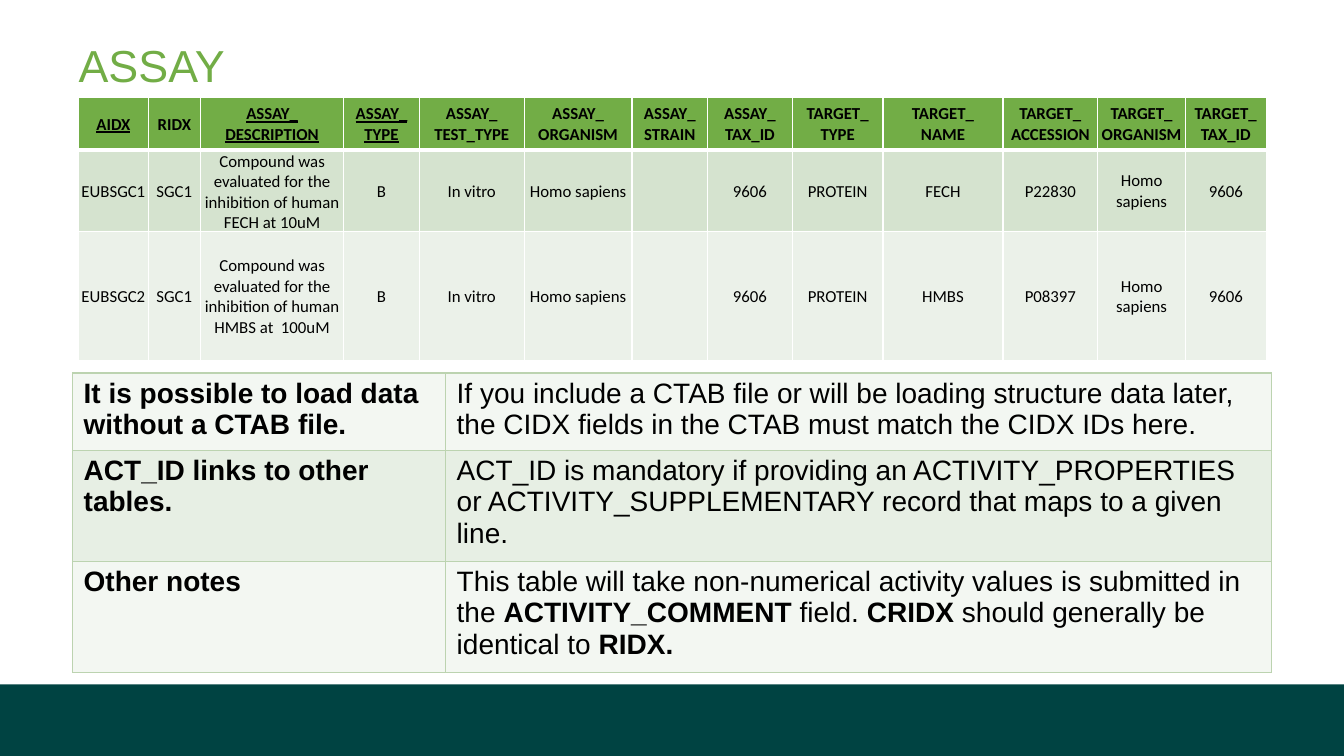
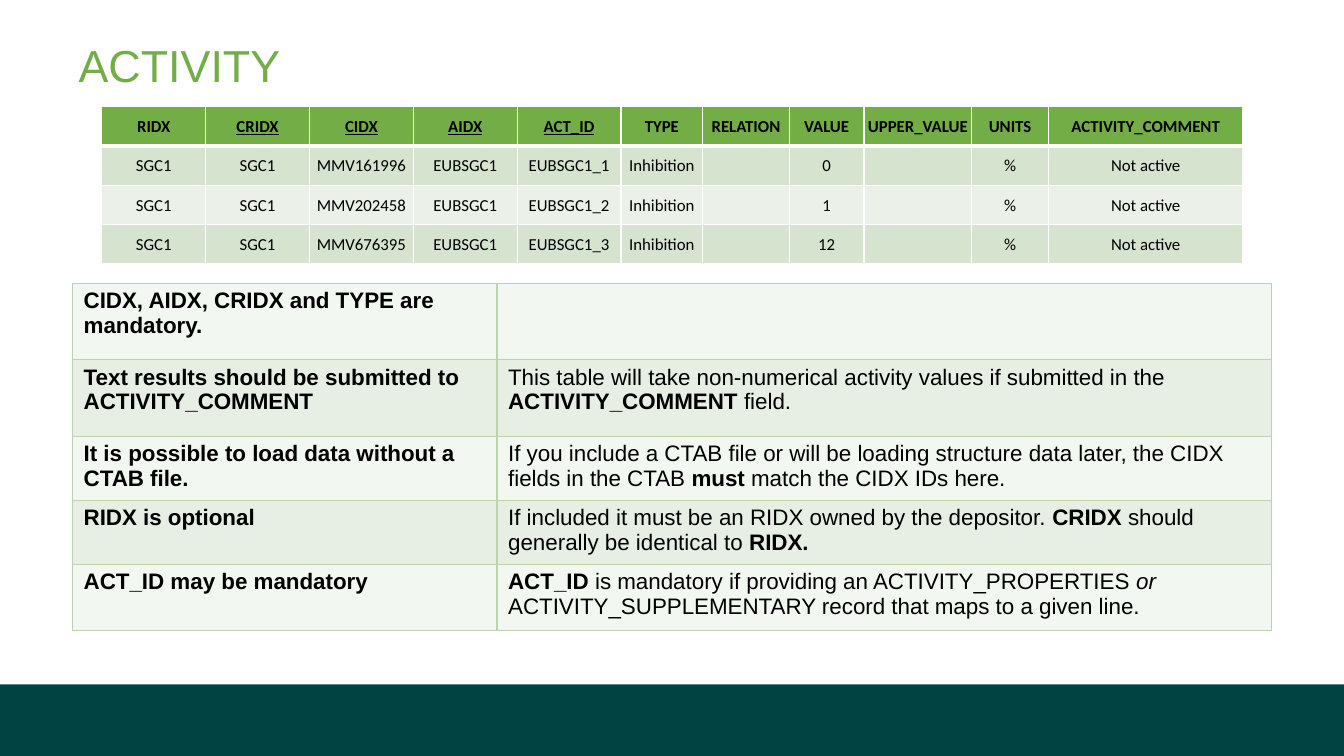
import pptx
import pptx.util
import pptx.dml.color
import pptx.enum.shapes
import pptx.enum.text
import pptx.oxml
import pptx.oxml.ns

Inches = pptx.util.Inches
Pt = pptx.util.Pt
RGB = pptx.dml.color.RGBColor.from_string

COLORS = {
    "band": "004342", "green": "72AD46", "text": "000000", "white": "FFFFFF",
    "data_dark": "D5E3CF", "data_light": "EBF1E9",
    "note_light": "F3F7F2", "note_dark": "E7EFE4", "note_line": "BCD3B0",
}

# Looks of the two kinds of table; margins are left, top, right, bottom
DATA = {
    "font": "Calibri", "header": COLORS["green"], "line": COLORS["white"],
    "bands": [COLORS["data_dark"], COLORS["data_light"]],
    "margins": (0.01, 0.01, 0.01, 0),
    "align": pptx.enum.text.PP_ALIGN.CENTER,
    "anchor": pptx.enum.text.MSO_ANCHOR.MIDDLE,
}
NOTES = {
    "font": "Arial", "header": None, "line": COLORS["note_line"],
    "bands": [COLORS["note_light"], COLORS["note_dark"]],
    "margins": (0.11, 0.05, 0.11, 0.05),
    "align": pptx.enum.text.PP_ALIGN.LEFT,
    "anchor": pptx.enum.text.MSO_ANCHOR.TOP,
}

# Content: a cell is plain text or a list of (text, style), style being b, i or u
SLIDES = [
    {
        "title": "ASSAY",
        "data": {
            "at": (0.78, 0.97), "size": 12,
            "cols": [0.69, 0.52, 1.42, 0.75, 1.04, 1.07, 0.75, 0.84, 0.9, 1.19,
                     0.94, 0.87, 0.8],
            "heights": [0.52, 0.79, 1.28],
            "cells": [
                [[("AIDX", "u")], "RIDX", [("ASSAY_\vDESCRIPTION", "u")],
                 [("ASSAY_\vTYPE", "u")], "ASSAY_\vTEST_TYPE", "ASSAY_\vORGANISM",
                 "ASSAY_\vSTRAIN", "ASSAY_\vTAX_ID", "TARGET_\vTYPE", "TARGET_\vNAME",
                 "TARGET_\vACCESSION", "TARGET_\vORGANISM", "TARGET_\vTAX_ID"],
                ["EUBSGC1", "SGC1",
                 "Compound was evaluated for the inhibition of human FECH at 10uM",
                 "B", "In vitro", "Homo sapiens", "", "9606", "PROTEIN", "FECH",
                 "P22830", "Homo sapiens", "9606"],
                ["EUBSGC2", "SGC1",
                 "Compound was evaluated for the inhibition of human HMBS at  100uM",
                 "B", "In vitro", "Homo sapiens", "", "9606", "PROTEIN", "HMBS",
                 "P08397", "Homo sapiens", "9606"],
            ],
        },
        "notes": {
            "at": (0.72, 3.7), "size": 20,
            "cols": [3.7, 8.19], "heights": [0.76, 0.43, 0.38],
            "cells": [
                ["It is possible to load data without a CTAB file.",
                 "If you include a CTAB file or will be loading structure data later, "
                 "the CIDX fields in the CTAB must match the CIDX IDs here."],
                ["ACT_ID links to other tables.",
                 "ACT_ID is mandatory if providing an ACTIVITY_PROPERTIES or "
                 "ACTIVITY_SUPPLEMENTARY record that maps to a given line."],
                ["Other notes",
                 [("This table will take non-numerical activity values is submitted in the ", ""),
                  ("ACTIVITY_COMMENT", "b"), (" field. ", ""), ("CRIDX", "b"),
                  (" should generally be identical to ", ""), ("RIDX.", "b")]],
            ],
        },
    },
    {
        "title": "ACTIVITY",
        "data": {
            "at": (1.01, 1.06), "size": 12,
            "cols": [1.03] * 5 + [0.81, 0.86, 0.74, 1.07, 0.76, 1.93],
            "heights": [0.39] * 4,
            "cells": [
                ["RIDX", [("CRIDX", "u")], [("CIDX", "u")], [("AIDX", "u")],
                 [("ACT_ID", "u")], "TYPE", "RELATION", "VALUE", "UPPER_VALUE",
                 "UNITS", "ACTIVITY_COMMENT"],
            ] + [
                ["SGC1", "SGC1", compound, "EUBSGC1", f"EUBSGC1_{n}", "Inhibition",
                 "", value, "", "%", "Not active"]
                for n, (compound, value) in enumerate(
                    [("MMV161996", "0"), ("MMV202458", "1"), ("MMV676395", "12")], 1)
            ],
        },
        "notes": {
            "at": (0.72, 2.81), "size": 16,
            "cols": [4.21, 7.68], "heights": [0.76, 0.76, 0.43, 0.38, 0.66],
            "cells": [
                ["CIDX, AIDX, CRIDX and TYPE are mandatory.", ""],
                ["Text results should be submitted to ACTIVITY_COMMENT",
                 [("This table will take non-numerical activity values if submitted in the ", ""),
                  ("ACTIVITY_COMMENT", "b"), (" field.", "")]],
                ["It is possible to load data without a CTAB file.",
                 [("If you include a CTAB file or will be loading structure data later, "
                   "the CIDX fields in the CTAB ", ""),
                  ("must", "b"), (" match the CIDX IDs here.", "")]],
                ["RIDX is optional",
                 [("If included it must be an RIDX owned by the depositor. ", ""),
                  ("CRIDX", "b"), (" should generally be identical to ", ""),
                  ("RIDX.", "b")]],
                ["ACT_ID may be mandatory",
                 [("ACT_ID ", "b"),
                  ("is mandatory if providing an ACTIVITY_PROPERTIES ", ""), ("or ", "i"),
                  ("ACTIVITY_SUPPLEMENTARY record that maps to a given line.", "")]],
            ],
        },
    },
]


def set_borders(cell, color, widths):
    """Draw the cell borders; widths maps L, R, T and B to points."""
    tcPr = cell._tc.get_or_add_tcPr()
    for side, width in widths.items():
        tcPr.append(pptx.oxml.parse_xml(
            f'<a:ln{side} {pptx.oxml.ns.nsdecls("a")} w="{Pt(width)}"><a:solidFill>'
            f'<a:srgbClr val="{color}"/></a:solidFill></a:ln{side}>'))


def add_grid(s, grid, look):
    """Add a table with the given content and look."""
    cols, heights = grid["cols"], grid["heights"]
    left, top = grid["at"]
    table = s.shapes.add_table(
        len(heights), len(cols), Inches(left), Inches(top),
        Inches(sum(cols)), Inches(sum(heights))).table
    has_header = look["header"] is not None
    table.first_row = has_header
    table.horz_banding = False
    for column, width in zip(table.columns, cols):
        column.width = Inches(width)

    for i, (row, height) in enumerate(zip(table.rows, heights)):
        row.height = Inches(height)
        is_header = has_header and i == 0
        fill = look["header"] if is_header else look["bands"][(i - has_header) % 2]
        widths = {"L": 1, "R": 1,
                  "T": 3 if has_header and i == 1 else 1, "B": 3 if is_header else 1}
        for j, content in enumerate(grid["cells"][i]):
            cell = table.cell(i, j)
            set_borders(cell, look["line"], widths)
            cell.fill.solid()
            cell.fill.fore_color.rgb = RGB(fill)
            (cell.margin_left, cell.margin_top,
             cell.margin_right, cell.margin_bottom) = map(Inches, look["margins"])
            cell.vertical_anchor = look["anchor"]
            if not content:
                continue
            p = cell.text_frame.paragraphs[0]
            p.alignment = look["align"]
            bold_cell = is_header or (not has_header and j == 0)
            for text, style in [(content, "")] if isinstance(content, str) else content:
                # A line break splits the text into several runs
                for k, line in enumerate(text.split("\v")):
                    if k:
                        p.add_line_break()
                    r = p.add_run()
                    r.text = line
                    r.font.name = look["font"]
                    r.font.size = Pt(grid["size"])
                    r.font.color.rgb = RGB(COLORS["text"])
                    r.font.bold = bold_cell or style == "b"
                    r.font.italic = style == "i"
                    r.font.underline = style == "u"


prs = pptx.Presentation()
prs.slide_width = Inches(13.33)
prs.slide_height = Inches(7.5)

for content in SLIDES:
    s = prs.slides.add_slide(prs.slide_layouts[6])

    # Bottom band
    sp = s.shapes.add_shape(pptx.enum.shapes.MSO_SHAPE.RECTANGLE,
                            0, Inches(6.79), prs.slide_width, Inches(0.71))
    sp.shadow.inherit = False
    sp.fill.solid()
    sp.fill.fore_color.rgb = RGB(COLORS["band"])
    sp.line.fill.background()

    # Title
    sp = s.shapes.add_textbox(Inches(0.78), Inches(0.33), Inches(11.89), Inches(0.83))
    tf = sp.text_frame
    tf.word_wrap = True
    tf.margin_left = tf.margin_right = tf.margin_bottom = 0
    tf.margin_top = Inches(0.05)
    tf.text = content["title"]
    r = tf.paragraphs[0].runs[0]
    r.font.name = "Arial"
    r.font.size = Pt(32)
    r.font.color.rgb = RGB(COLORS["green"])

    # Explanations below, sample records above
    add_grid(s, content["notes"], NOTES)
    add_grid(s, content["data"], DATA)

prs.save("out.pptx")
